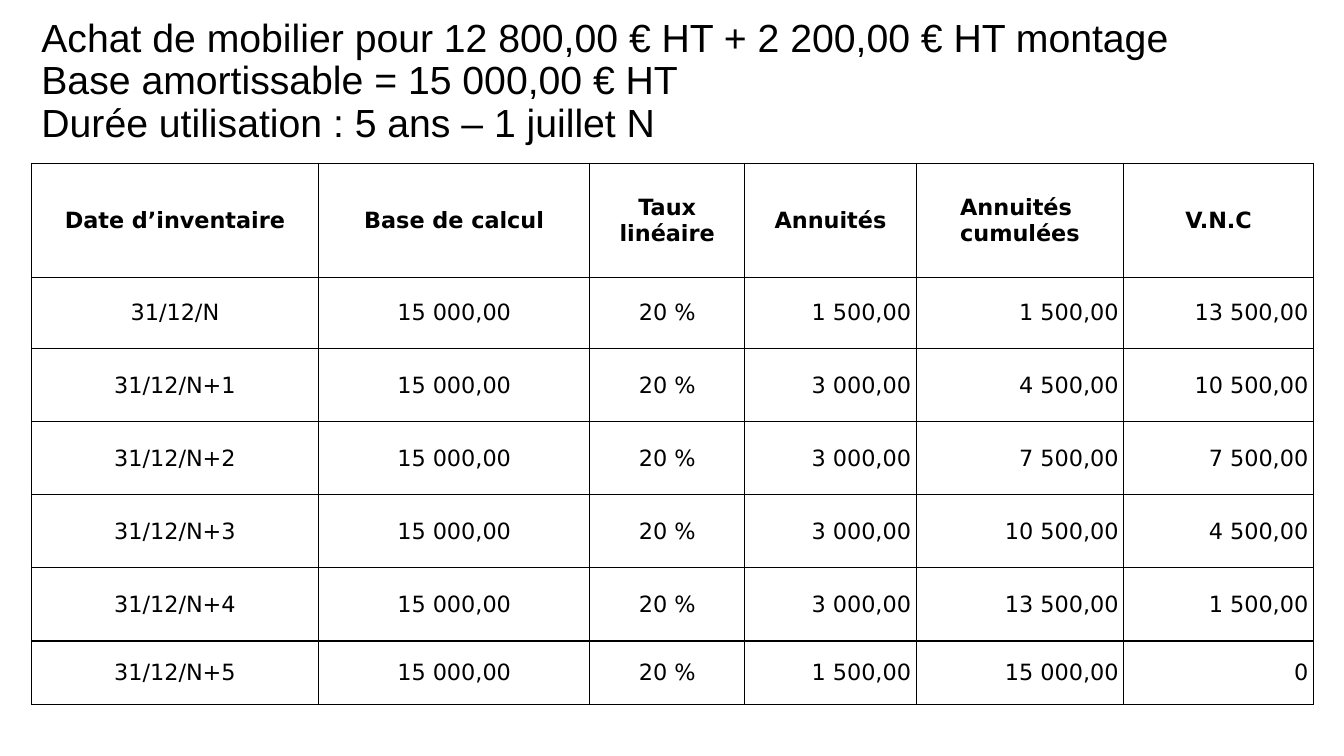
from pptx import Presentation
from pptx import util as u
from pptx.dml import color
from pptx.enum import text
from pptx.oxml import parse_xml
from pptx.oxml.ns import nsdecls


def style(para, face, size, align, bold=False):
    para.alignment = align
    font = para.font
    font.name, font.size, font.bold = face, u.Pt(size), bold
    font.color.rgb = color.RGBColor.from_string("000000")


def border(cell):
    props = cell._tc.get_or_add_tcPr()
    for i, side in enumerate(("lnL", "lnR", "lnT", "lnB")):
        props.insert(i, parse_xml(
            f'<a:{side} {nsdecls("a")} w="12700"><a:solidFill>'
            f'<a:srgbClr val="000000"/></a:solidFill></a:{side}>'))


deck = Presentation()
deck.slide_width, deck.slide_height = u.Cm(33.87), u.Cm(19.05)
slide = deck.slides.add_slide(deck.slide_layouts[5])

title = slide.shapes.title
title.left, title.top = u.Cm(0.79), u.Cm(0.28)
title.width, title.height = u.Cm(32.72), u.Cm(3.58)
frame = title.text_frame
frame.text = "Achat de mobilier pour 12 800,00 € HT + 2 200,00 € HT montage \vBase amortissable = 15 000,00 € HT\vDurée utilisation : 5 ans – 1 juillet N"
frame.auto_size = text.MSO_AUTO_SIZE.NONE
frame.vertical_anchor = text.MSO_ANCHOR.MIDDLE
frame.paragraphs[0].line_spacing = 0.9
style(frame.paragraphs[0], "Arial", 28, text.PP_ALIGN.LEFT)

heads = ["Date d’inventaire", "Base de calcul", "Taux\nlinéaire",
         "Annuités", "Annuités \vcumulées", "V.N.C"]
sums = [
    ("31/12/N", "1 500,00", "1 500,00", "13 500,00"),
    ("31/12/N+1", "3 000,00", "4 500,00", "10 500,00"),
    ("31/12/N+2", "3 000,00", "7 500,00", "7 500,00"),
    ("31/12/N+3", "3 000,00", "10 500,00", "4 500,00"),
    ("31/12/N+4", "3 000,00", "13 500,00", "1 500,00"),
    ("31/12/N+5", "1 500,00", "15 000,00", "0"),
]
rows = [heads] + [[date, "15 000,00", "20 %", *rest] for date, *rest in sums]
widths = [7.24, 6.83, 3.91, 4.32, 5.23, 4.78]
heights = [2.87, 1.8, 1.84, 1.84, 1.84, 1.84, 1.6]

table = slide.shapes.add_table(
    len(rows), len(widths), u.Cm(0.79), u.Cm(4.12),
    u.Cm(sum(widths)), u.Cm(sum(heights))).table
table.first_row = table.horz_banding = False
for col, width in zip(table.columns, widths):
    col.width = u.Cm(width)

for r, row in enumerate(rows):
    table.rows[r].height = u.Cm(heights[r])
    for c, value in enumerate(row):
        cell = table.cell(r, c)
        cell.text = value
        cell.fill.background()
        border(cell)
        cell.vertical_anchor = text.MSO_ANCHOR.MIDDLE
        cell.margin_left = cell.margin_right = u.Cm(0.13)
        cell.margin_top = cell.margin_bottom = 0
        align = text.PP_ALIGN.RIGHT if r and c > 2 else text.PP_ALIGN.CENTER
        for para in cell.text_frame.paragraphs:
            style(para, "DejaVu Sans", 16, align, r == 0)

deck.save("out.pptx")
